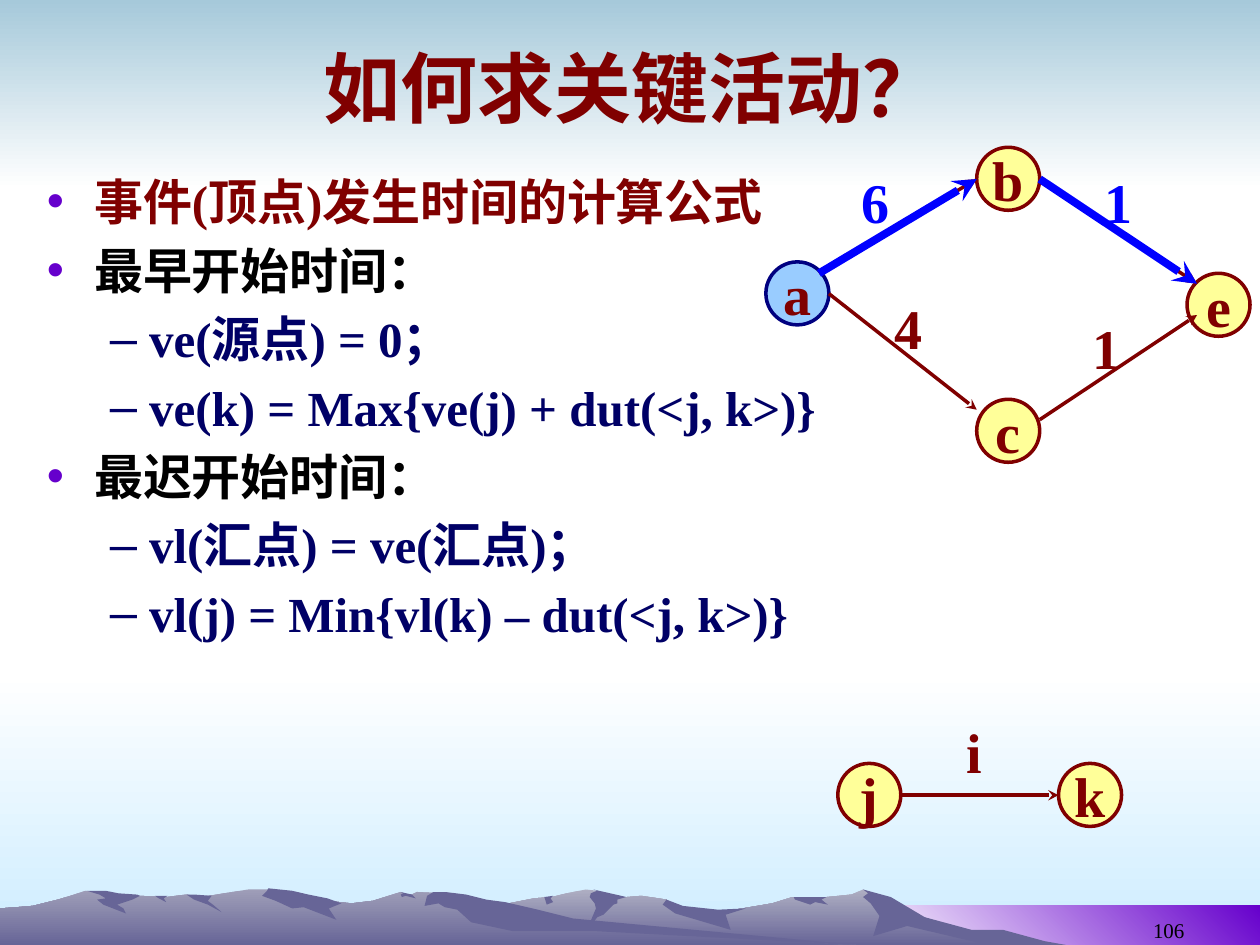
from lxml.etree import SubElement
from pptx import Presentation
from pptx.dml.color import RGBColor as RGB
from pptx.enum.shapes import MSO_CONNECTOR as Line, MSO_SHAPE as Preset
from pptx.enum.text import MSO_ANCHOR as Anchor, MSO_AUTO_SIZE as Fit, PP_ALIGN as Align
from pptx.oxml.ns import qn
from pptx.util import Cm, Pt

COLORS = {
    "maroon": "800000", "navy": "000066", "black": "000000", "blue": "0000FF",
    "violet": "6600CC", "yellow": "FFFF99", "sky": "99CCFF", "sky_edge": "000080",
    "white": "FFFFFF", "dawn": "A6C9DA", "haze": "CCECFF",
    "far_ridge": "AEAEC2", "near_ridge": "9F9EB8", "shade": "676597",
}
FONT = "Times New Roman"

TITLE = "如何求关键活动？"
FORMULAS = [  # level, text, color
    (0, "事件(顶点)发生时间的计算公式", "maroon"),
    (0, "最早开始时间：", "black"),
    (1, "ve(源点) = 0；", "navy"),
    (1, "ve(k) = Max{ve(j) + dut(<j, k>)}", "navy"),
    (0, "最迟开始时间：", "black"),
    (1, "vl(汇点) = ve(汇点)；", "navy"),
    (1, "vl(j) = Min{vl(k) – dut(<j, k>)}", "navy"),
]
PAGE_NUMBER = "106"

NODE_SIZE = 1.27
NODES = [  # name, left, top, fill, edge
    ("a", 15.44, 5.28, "sky", "sky_edge"),
    ("b", 19.69, 2.97, "yellow", "maroon"),
    ("c", 19.69, 8.05, "yellow", "maroon"),
    ("e", 23.93, 5.51, "yellow", "maroon"),
    ("j", 16.89, 15.39, "yellow", "maroon"),
    ("k", 21.34, 15.39, "yellow", "maroon"),
]
CRITICAL = [(16.51, 5.51, 19.69, 3.61), (20.96, 3.61, 24.13, 5.72)]
OTHERS = [(16.71, 5.92, 19.69, 8.26), (20.96, 8.46, 24.13, 6.35),
          (18.16, 16.03, 21.34, 16.03)]
WEIGHTS = [  # text, left, top, color
    ("6", 17.12, 3.25, "blue"), ("1", 22.02, 3.25, "blue"),
    ("4", 17.78, 5.79, "maroon"), ("1", 21.77, 6.2, "maroon"),
    ("i", 19.23, 14.33, "maroon"),
]

BANDS = [  # left, top, width, height, gradient colors, angle
    (0, 13.54, 25.4, 5.51, ("white", "haze"), 270),
    (0, 0, 25.4, 3.81, ("dawn", "white"), 270),
    (17.35, 18.26, 8.05, 0.79, ("white", "violet"), 45),
]
# Ridge outlines lie on a grid of 0.0254 cm
GRID = Cm(0.0254)
FAR_RIDGE = [
    (802, 746), (778, 740), (764, 738), (723, 725), (702, 712), (685, 706), (676, 710),
    (656, 712), (629, 712), (613, 717), (566, 725), (536, 721), (529, 714), (509, 711),
    (486, 713), (474, 707), (465, 706), (450, 709), (438, 712), (424, 713), (394, 719),
    (355, 725), (327, 731), (277, 745), (258, 750), (815, 750)]
FAR_SHADES = [
    [(796, 738), (771, 738), (734, 728), (707, 712), (685, 706), (689, 709), (685, 712),
     (691, 717), (698, 727), (693, 743), (720, 735), (784, 750), (846, 750), (829, 747)],
    [(471, 706), (474, 707), (469, 709), (468, 712), (472, 717), (473, 721), (465, 740),
     (474, 728), (479, 726), (487, 718), (490, 717), (490, 714), (497, 712), (493, 711)],
    [(529, 714), (526, 718), (536, 725), (580, 738), (576, 726), (592, 721), (570, 722),
     (542, 719)],
    [(650, 712), (630, 712), (631, 714), (643, 718), (647, 716), (657, 718), (652, 714),
     (656, 712)],
    [(433, 715), (432, 712), (439, 711), (437, 713), (439, 716), (434, 718)],
]
NEAR_RIDGE = [
    (680, 750), (667, 750), (432, 732), (354, 709), (331, 708), (327, 710), (323, 710),
    (318, 708), (296, 715), (279, 717), (260, 715), (236, 717), (223, 708), (215, 706),
    (197, 706), (178, 709), (160, 712), (148, 710), (132, 712), (111, 711), (94, 712),
    (68, 707), (56, 711), (46, 714), (26, 719), (14, 720), (0, 721), (0, 750)]
NEAR_SHADES = [
    [(212, 707), (208, 711), (219, 715), (232, 721), (241, 720), (267, 730), (261, 721),
     (271, 717), (260, 713), (245, 710), (232, 707), (213, 705)],
    [(370, 710), (354, 708), (344, 708), (339, 711), (337, 719), (348, 717), (353, 720),
     (363, 722), (374, 732), (407, 739), (472, 739), (680, 750), (455, 729), (427, 722),
     (401, 716), (386, 714)],
    [(318, 710), (320, 709), (318, 708), (327, 710), (330, 713), (322, 711), (319, 712)],
    [(154, 710), (168, 711), (165, 715), (169, 718), (176, 724), (165, 718), (154, 714),
     (148, 710)],
    [(133, 711), (130, 713), (132, 716), (126, 713), (123, 711)],
    [(109, 710), (111, 711), (105, 714), (93, 718), (98, 721), (100, 725), (82, 718),
     (77, 714), (84, 713), (79, 710), (69, 707), (84, 707), (94, 709)],
]


def rgb(name):
    return RGB.from_string(COLORS[name])


def box(left, top, width, height):
    return [Cm(value) for value in (left, top, width, height)]


def paint(shape, colors, angle=270):
    """Fill a borderless shape with one color or with a two-color gradient."""
    shape.shadow.inherit = False
    shape.line.fill.background()
    if isinstance(colors, str):
        shape.fill.solid()
        shape.fill.fore_color.rgb = rgb(colors)
        return
    shape.fill.gradient()
    shape.fill.gradient_angle = angle
    for stop, color, position in zip(shape.fill.gradient_stops, colors, (0, 1)):
        stop.color.rgb = rgb(color)
        stop.position = position


def write(paragraph, text, color, size, bold=True, align=None):
    run = paragraph.add_run()
    run.text = text
    paragraph.alignment = align
    for key, value in {"name": FONT, "size": Pt(size), "bold": bold}.items():
        setattr(run.font, key, value)
    run.font.color.rgb = rgb(color)


def set_frame(frame, wrap, anchor):
    settings = {"word_wrap": wrap, "vertical_anchor": anchor, "auto_size": Fit.NONE}
    for key, value in settings.items():
        setattr(frame, key, value)
    return frame


def add_ridge(shapes, outline, colors):
    builder = shapes.build_freeform(*outline[0], scale=GRID)
    builder.add_line_segments(outline[1:], close=True)
    paint(builder.convert_to_shape(), colors)


def add_scenery(shapes):
    for *place, colors, angle in BANDS:
        paint(shapes.add_shape(Preset.RECTANGLE, *box(*place)), colors, angle)
    for ridge, top_color, shades in ((FAR_RIDGE, "far_ridge", FAR_SHADES),
                                     (NEAR_RIDGE, "near_ridge", NEAR_SHADES)):
        add_ridge(shapes, ridge, (top_color, "shade"))
        for shade in shades:
            add_ridge(shapes, shade, "shade")


def add_label(shapes, place, text, color, size, anchor=Anchor.TOP, **style):
    frame = set_frame(shapes.add_textbox(*box(*place)).text_frame, False, anchor)
    write(frame.paragraphs[0], text, color, size, **style)


def add_node(shapes, name, left, top, fill, edge):
    node = shapes.add_shape(Preset.OVAL, *box(left, top, NODE_SIZE, NODE_SIZE))
    paint(node, fill)
    node.line.color.rgb = rgb(edge)
    node.line.width = Pt(2)
    frame = set_frame(node.text_frame, False, Anchor.MIDDLE)
    write(frame.paragraphs[0], name, "maroon", 32, align=Align.CENTER)


def add_arrow(shapes, ends, color, width):
    arrow = shapes.add_connector(Line.STRAIGHT, *box(*ends))
    arrow.line.color.rgb = rgb(color)
    arrow.line.width = Pt(width)
    SubElement(arrow.line._get_or_add_ln(), qn("a:tailEnd"), type="stealth")
    SubElement(arrow.element.spPr, qn("a:effectLst"))


def fill_placeholder(shapes, holder, place, anchor):
    """Bring the placeholder in front of the scenery and set its place."""
    shapes.element.append(holder.element)
    holder.left, holder.top, holder.width, holder.height = box(*place)
    return set_frame(holder.text_frame, True, anchor)


def main():
    deck = Presentation()
    deck.slide_width, deck.slide_height = Cm(25.4), Cm(19.05)
    slide = deck.slides.add_slide(deck.slide_layouts[1])
    shapes = slide.shapes
    add_scenery(shapes)
    add_label(shapes, (18.21, 17.86, 5.92, 1.27), PAGE_NUMBER, "black", 12,
              Anchor.BOTTOM, bold=False, align=Align.RIGHT)

    heading = fill_placeholder(shapes, shapes.title, (1.3, 0.33, 22.86, 2.84), Anchor.MIDDLE)
    write(heading.paragraphs[0], TITLE, "maroon", 44, align=Align.CENTER)
    body = fill_placeholder(shapes, slide.placeholders[1], (0.69, 3.33, 24, 14.4), Anchor.TOP)
    for index, (level, text, color) in enumerate(FORMULAS):
        formula = body.add_paragraph() if index else body.paragraphs[0]
        formula.level = level
        write(formula, text, color, 28)
        if level == 0:
            bullet = SubElement(formula._p.get_or_add_pPr(), qn("a:buClr"))
            SubElement(bullet, qn("a:srgbClr"), val=COLORS["violet"])

    for node in NODES:
        add_node(shapes, *node)
    for ends in CRITICAL + OTHERS:
        add_arrow(shapes, ends, "maroon", 2)
    for text, left, top, color in WEIGHTS:
        add_label(shapes, (left, top, 1.07, 1.6), text, color, 32)
    for ends in CRITICAL:
        add_arrow(shapes, ends, "blue", 4.5)
    deck.save("out.pptx")


if __name__ == "__main__":
    main()
